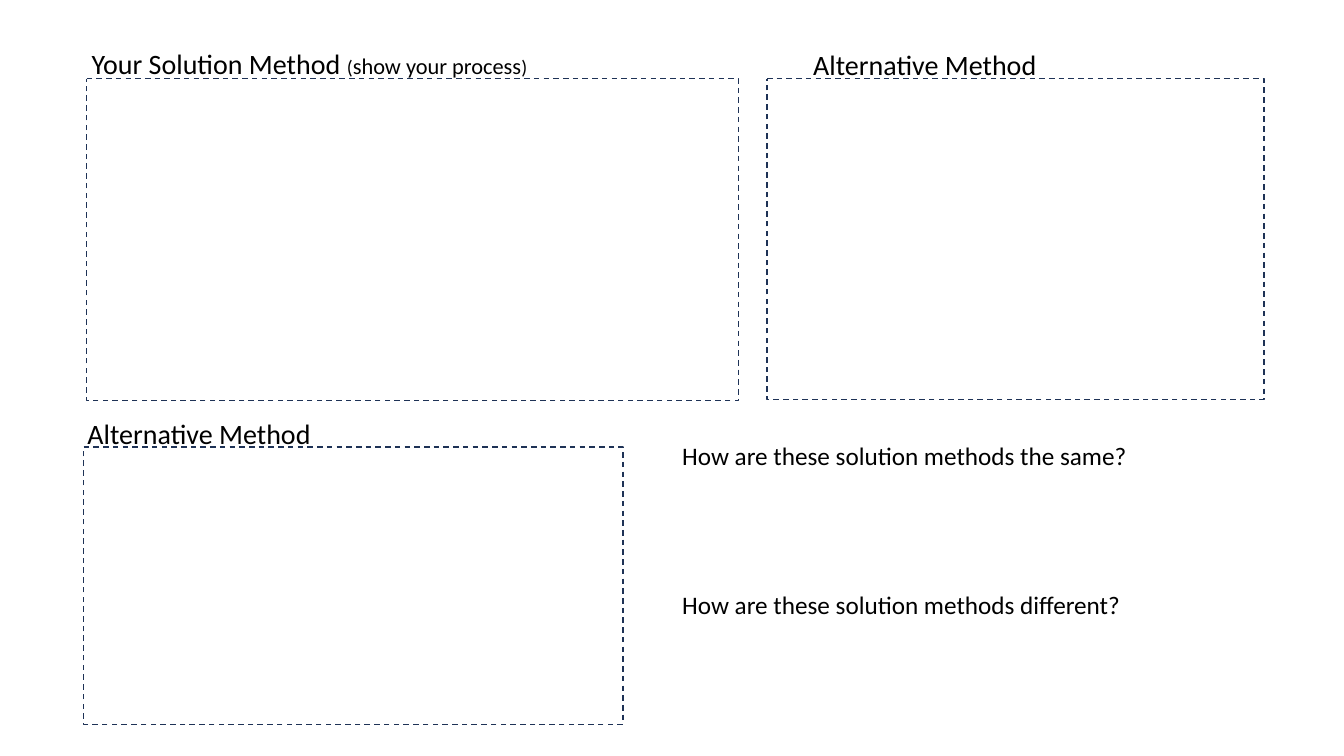
"""Build a worksheet slide for comparing solution methods."""
from pptx import Presentation
from pptx.dml.color import RGBColor
from pptx.enum.dml import MSO_LINE
from pptx.enum.shapes import MSO_SHAPE
from pptx.enum.text import MSO_AUTO_SIZE
from pptx.util import Pt

COLORS = {"paper": "FFFFFF", "ink": "000000", "border": "1E3256"}
FONT = "Calibri"


def color(name):
    return RGBColor.from_string(COLORS[name])


def add_text(s, left, top, width, height, runs):
    tb = s.shapes.add_textbox(Pt(left), Pt(top), Pt(width), Pt(height))
    tf = tb.text_frame
    tf.word_wrap = True
    tf.auto_size = MSO_AUTO_SIZE.SHAPE_TO_FIT_TEXT
    p = tf.paragraphs[0]
    p.font.name = FONT
    p.font.color.rgb = color("ink")
    for text, size in runs:
        r = p.add_run()
        r.text = text
        r.font.size = Pt(size)
    return tb


def add_label(s, left, top, width, runs):
    tb = add_text(s, left, top, width, 31.5, runs)
    tb.fill.solid()
    tb.fill.fore_color.rgb = color("paper")


def add_work_area(s, left, top, width, height):
    sp = s.shapes.add_shape(MSO_SHAPE.FLOWCHART_PROCESS, Pt(left), Pt(top), Pt(width), Pt(height))
    sp.shadow.inherit = False
    sp.fill.solid()
    sp.fill.fore_color.rgb = color("paper")
    sp.line.color.rgb = color("border")
    sp.line.width = Pt(1)
    sp.line.dash_style = MSO_LINE.DASH


def main():
    prs = Presentation()
    prs.slide_width, prs.slide_height = Pt(960), Pt(540)
    s = prs.slides.add_slide(prs.slide_layouts[6])

    alternative = [("Alternative Method", 20)]
    own = [("Your Solution Method ", 20), ("(", 14), ("show your process", 16), (")", 14)]
    add_label(s, 55.4, 293.8, 332.6, alternative)
    add_label(s, 573.8, 30.2, 332.6, alternative)
    add_work_area(s, 59.8, 319.3, 385.2, 198)
    add_label(s, 58.3, 29.5, 372.2, own)
    add_work_area(s, 61.9, 56.2, 465.8, 229.7)
    add_work_area(s, 547.9, 56.2, 355, 229)

    for top, aspect in ((311, "the same"), (417.6, "different")):
        add_text(s, 480.2, top, 341, 29, [(f"How are these solution methods {aspect}?", 18)])

    prs.save("out.pptx")


if __name__ == "__main__":
    main()
